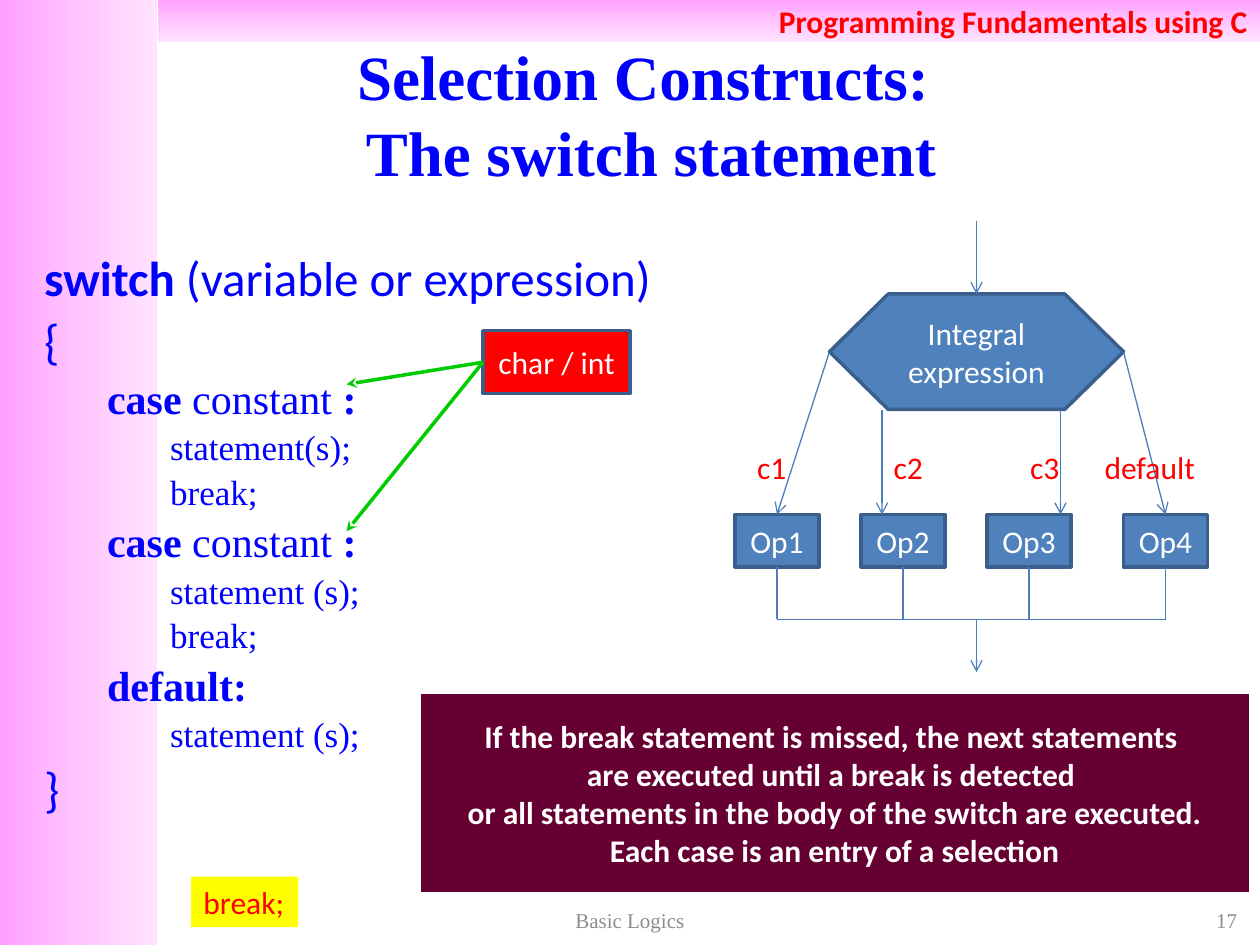
"""Build a slide on the C switch statement: syntax, flowchart and a remark."""
from lxml import etree
from copy import deepcopy
from pptx import Presentation, util as u
from pptx.dml.color import RGBColor
from pptx.enum import shapes, text
from pptx.oxml.ns import qn

COLS, ROWS = 120, 90
SANS, SERIF = "Calibri", "Times New Roman"
BLUE, RED, WHITE, GREY = "0000FF", "FF0000", "FFFFFF", "8C8C8C"
BOX_FILL, BOX_EDGE, FLOW, GREEN = "4F81BD", "3A5F8C", "4B7EBC", "00CC00"
PINKS = [(0, "FFA0FF"), (0.5, "FFC5FF"), (1, "FFE3FF")]
RECT, HEXAGON = shapes.MSO_SHAPE.RECTANGLE, shapes.MSO_SHAPE.FLOWCHART_PREPARATION
LEFT, CENTER, RIGHT = text.PP_ALIGN.LEFT, text.PP_ALIGN.CENTER, text.PP_ALIGN.RIGHT
TOP, MIDDLE = text.MSO_ANCHOR.TOP, text.MSO_ANCHOR.MIDDLE

COURSE = "Programming Fundamentals using C"
TITLE = "Selection Constructs: \vThe switch statement"
SYNTAX = [
    (0, "switch", " (variable or expression)", ""),
    (0, "", "{", ""),
    (1, "case", " constant ", ":"),
    (2, "", "statement(s);", ""),
    (2, "", "break;", ""),
    (1, "case", " constant ", ":"),
    (2, "", "statement (s);", ""),
    (2, "", "break;", ""),
    (1, "default:", "", ""),
    (2, "", "statement (s);", ""),
    (0, "", "}", ""),
]
LEVELS = [(28, SANS, 0.38, -0.38), (24, SERIF, 0.81, -0.31), (20, SERIF, 1.25, -0.25)]
REMARK = [
    "If the break statement is missed, the next statements ",
    "are executed until a break is detected ",
    "or all statements in the body of the switch are executed.",
    "Each case is an entry of a selection",
]
BRANCHES = [("Op1", 70), ("Op2", 82), ("Op3", 94), ("Op4", 107)]
CASES = [("c1", 70, 7), ("c2", 83, 7), ("c3", 96, 7), ("default", 103, 13)]
CONSTANT_ROWS = [36.6, 50.6]
OP_TOP, OP_WIDTH, OP_HEIGHT, MERGE_ROW, AXIS = 49, 8, 5, 59, 93

prs = Presentation()
prs.slide_width, prs.slide_height = u.Inches(10), u.Inches(7.5)
slide = prs.slides.add_slide(prs.slide_layouts[1])


def rgb(code):
    """Turn a hex string into a colour."""
    return RGBColor.from_string(code)


def cells(*grid):
    """Turn alternating column and row counts into lengths."""
    steps = (prs.slide_width / COLS, prs.slide_height / ROWS)
    return [u.Emu(round(n * steps[i % 2])) for i, n in enumerate(grid)]


def style(runs, size, face, color, bold=False):
    """Format runs alike."""
    for run in runs:
        run.font.size, run.font.name, run.font.bold = u.Pt(size), face, bold
        run.font.color.rgb = rgb(color)


def write(frame, lines, size=18, face=SANS, color=WHITE, bold=False,
          align=CENTER, anchor=MIDDLE, wrap=True):
    """Fill a text frame with uniformly formatted paragraphs."""
    frame.text = "\n".join(lines)
    frame.word_wrap, frame.vertical_anchor = wrap, anchor
    for paragraph in frame.paragraphs:
        paragraph.alignment = align
        style(paragraph.runs, size, face, color, bold)


def block(grid, fill=None, edge=None, width=2, preset=RECT):
    """Add a flat preset shape."""
    shape = slide.shapes.add_shape(preset, *cells(*grid))
    shape.shadow.inherit = False
    if fill:
        shape.fill.solid()
        shape.fill.fore_color.rgb = rgb(fill)
    if edge:
        shape.line.color.rgb, shape.line.width = rgb(edge), u.Pt(width)
    else:
        shape.line.fill.background()
    return shape


def label(grid, line, **look):
    """Add a text box."""
    write(slide.shapes.add_textbox(*cells(*grid)).text_frame, [line], **look)


def band(grid, angle):
    """Add a pink gradient band behind everything."""
    shape = block(grid)
    shape.fill.gradient()
    shape.fill.gradient_angle = angle
    stops = shape.fill._fill._gradFill.gsLst
    stops.append(deepcopy(stops[-1]))
    for stop, (position, color) in zip(shape.fill.gradient_stops, PINKS):
        stop.position, stop.color.rgb = position, rgb(color)
    slide.shapes._spTree.insert(2, shape._element)
    return shape


def link(start, end, color=FLOW, width=0.75, source=None, target=None, **arrow):
    """Add a straight connector, optionally joined to (shape, site) pairs."""
    line = slide.shapes.add_connector(shapes.MSO_CONNECTOR.STRAIGHT, *cells(*start, *end))
    line.line.color.rgb, line.line.width = rgb(color), u.Pt(width)
    if source:
        line.begin_connect(*source)
    if target:
        line.end_connect(*target)
    for end_name, kind in arrow.items():
        etree.SubElement(line.line._ln, qn(f"a:{end_name}")).set("type", kind)
    etree.SubElement(line._element.spPr, qn("a:effectLst"))


def place(holder, grid):
    """Move a placeholder onto the grid."""
    holder.left, holder.top, holder.width, holder.height = cells(*grid)
    holder.text_frame.auto_size = text.MSO_AUTO_SIZE.NONE


band((0, 0, 15, ROWS), 0)
course = band((15, 0, COLS - 15, 4), 270)
write(course.text_frame, [COURSE], color=RED, bold=True, align=RIGHT)

heading, syntax = slide.shapes.title, slide.placeholders[1]
place(heading, (10, 3.6, 104, 14.4))
write(heading.text_frame, [TITLE], 36, SERIF, BLUE, True)

place(syntax, (3, 23.6, 71, 59.4))
for row, (level, keyword, plain, mark) in enumerate(SYNTAX):
    frame = syntax.text_frame
    paragraph = frame.add_paragraph() if row else frame.paragraphs[0]
    size, face, margin, indent = LEVELS[level]
    paragraph.level, paragraph.line_spacing = level, 0.9
    if not row:
        paragraph.space_before = u.Pt(0)
    props = paragraph._p.get_or_add_pPr()
    props.set("marL", str(u.Inches(margin)))
    props.set("indent", str(u.Inches(indent)))
    etree.SubElement(props, qn("a:buNone"))
    for words, bold in ((keyword, True), (plain, False), (mark, True)):
        if words:
            run = paragraph.add_run()
            run.text = words
            style([run], size, face, BLUE, bold)

kinds = block((46, 31.5, 14, 6), RED, BOX_EDGE)
write(kinds.text_frame, ["char / int"])
for row in CONSTANT_ROWS:
    link((33, row), (46, 34.5), GREEN, 2, target=(kinds, 1), headEnd="stealth")

remark = block((40, 66, 79, 19), "660033", WHITE, 0.75)
write(remark.text_frame, REMARK, bold=True, wrap=False)

test = block((79, 28, 28, 11), BOX_FILL, BOX_EDGE, preset=HEXAGON)
write(test.text_frame, ["Integral", "expression"])
link((AXIS, 21), (AXIS, 28), target=(test, 0), tailEnd="arrow")

ops = []
for name, column in BRANCHES:
    op = block((column, OP_TOP, OP_WIDTH, OP_HEIGHT), BOX_FILL, BOX_EDGE)
    write(op.text_frame, [name])
    ops.append(op)
    middle = column + OP_WIDTH / 2
    link((middle, OP_TOP + OP_HEIGHT), (middle, MERGE_ROW), source=(op, 2))

first, last = (BRANCHES[i][1] + OP_WIDTH / 2 for i in (0, -1))
link((79, 33.5), (first, OP_TOP), source=(test, 1), target=(ops[0], 0), tailEnd="arrow")
link((107, 33.5), (last, OP_TOP), source=(test, 3), target=(ops[-1], 0), tailEnd="arrow")
for column in (84, 101):
    link((column, 39), (column, OP_TOP), tailEnd="arrow")
link((first, MERGE_ROW), (last, MERGE_ROW))
link((AXIS, MERGE_ROW), (AXIS, 64), tailEnd="arrow")

for name, column, width in CASES:
    label((column, 42, width, 5), name, color=RED)
label((91, 86, 28, 3.2), "17", size=12, face=SERIF, color=GREY, align=RIGHT)
label((41, 86, 38, 3.2), "Basic Logics", size=12, face=SERIF, color=GREY)

stop_word = block((18.2, 83.5, 10.2, 4.8), "FFFF00")
write(stop_word.text_frame, ["break;"], color=RED, align=LEFT, anchor=TOP, wrap=False)
stop_word.text_frame.auto_size = text.MSO_AUTO_SIZE.SHAPE_TO_FIT_TEXT

prs.save("out.pptx")
